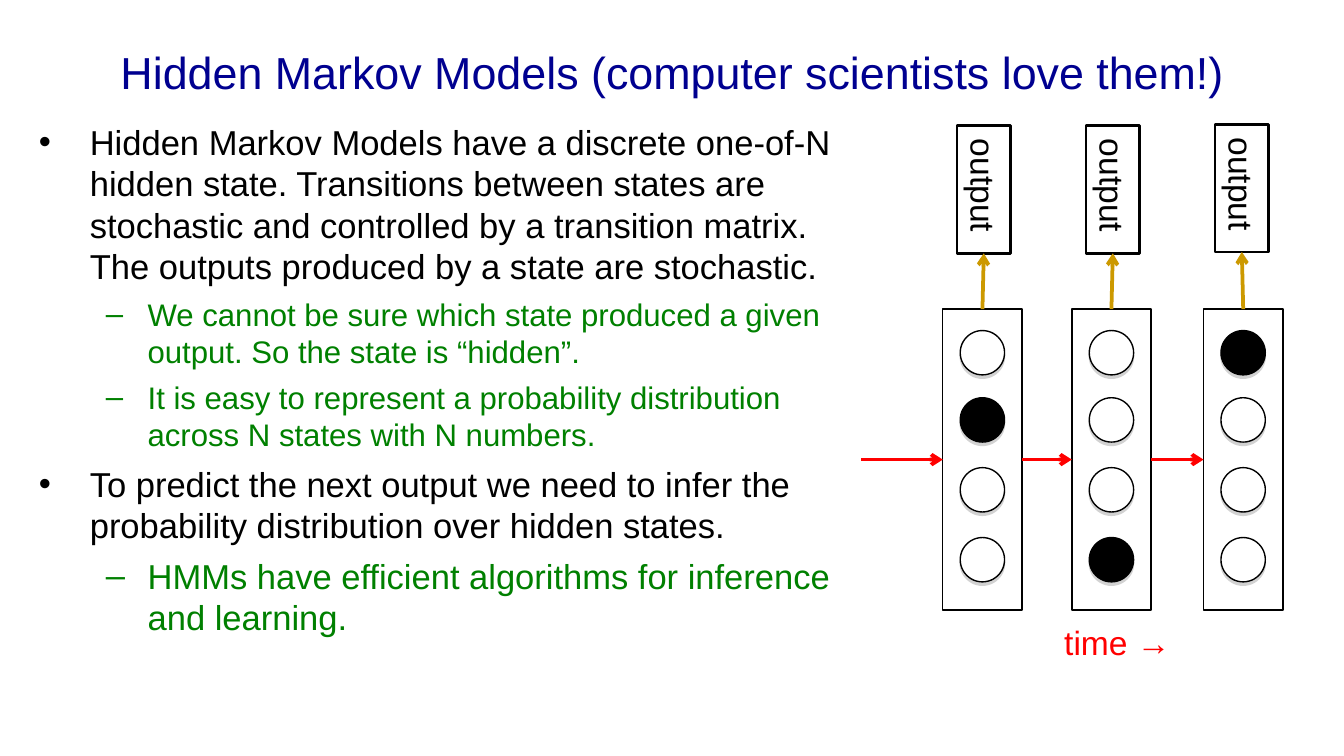
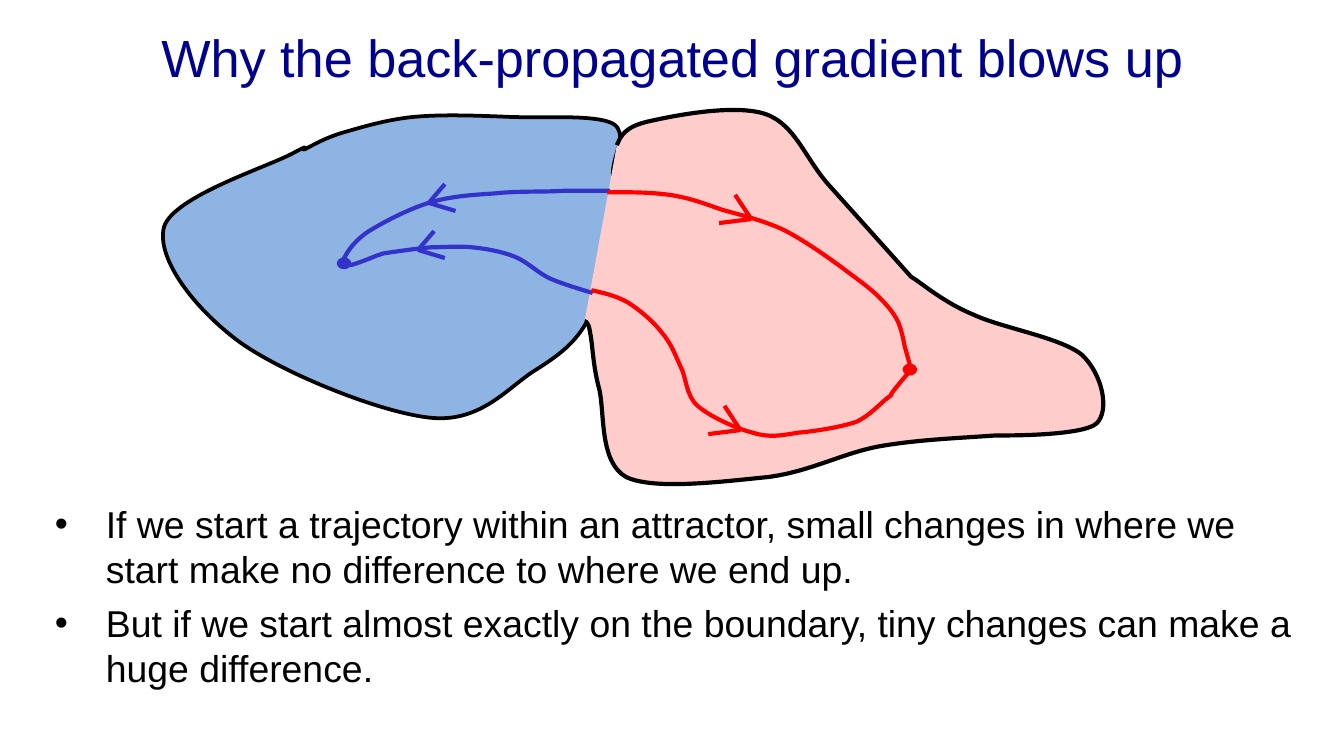
from dataclasses import dataclass

from lxml import etree
from pptx import Presentation
from pptx.dml.color import RGBColor
from pptx.enum.shapes import MSO_CONNECTOR, MSO_SHAPE
from pptx.enum.text import MSO_ANCHOR, PP_ALIGN
from pptx.oxml.ns import qn
from pptx.util import Inches, Pt

RECT, OVAL = MSO_SHAPE.RECTANGLE, MSO_SHAPE.OVAL
STRAIGHT = MSO_CONNECTOR.STRAIGHT
TOP, MIDDLE = MSO_ANCHOR.TOP, MSO_ANCHOR.MIDDLE
LEFT, CENTER = PP_ALIGN.LEFT, PP_ALIGN.CENTER
SITE_TOP, SITE_LEFT, SITE_RIGHT = 0, 1, 3


@dataclass(frozen=True)
class Theme:
    font: str = "Arial"
    title: str = "000090"
    ink: str = "000000"
    paper: str = "FFFFFF"
    detail: str = "008000"
    red: str = "FF0000"
    gold: str = "CC9900"
    blue: str = "3333CC"
    blue_basin: str = "8EB4E3"
    pink_basin: str = "FFCCCC"
    shadow: str = "808080"
    title_small: float = 24
    title_large: float = 28
    body: float = 20
    body_tight: float = 18.5
    detail_size: float = 16.7
    label: float = 18


THEME = Theme()

# Bullet level: mark, colour, left margin, hanging indent
LEVELS = [("•", THEME.ink, 0.38, 0.38), ("–", THEME.detail, 0.81, 0.31)]

HMM_POINTS = [
    (0, THEME.body_tight, 5, "Hidden Markov Models have a discrete one-of-N hidden state. "
     "Transitions between states are stochastic and controlled by a transition matrix. "
     "The outputs produced by a state are stochastic."),
    (1, THEME.detail_size, 4.5, "We cannot be sure which state produced a given output. "
     "So the state is “hidden”."),
    (1, THEME.detail_size, 4.5, "It is easy to represent a probability distribution "
     "across N states with N numbers."),
    (0, THEME.body_tight, 5, "To predict the next output we need to infer the probability "
     "distribution over hidden states."),
    (1, THEME.body_tight, 5, "HMMs have efficient algorithms for inference and learning."),
]
GRADIENT_POINTS = [
    (0, THEME.body, 5, "If we start a trajectory within an attractor, small changes in "
     "where we start make no difference to where we end up."),
    (0, THEME.body, 5, "But if we start almost exactly on the boundary, tiny changes can "
     "make a huge difference."),
]

# Time steps: centre of the state, centre of its output, index of the active unit
TIME_STEPS = [(7.31, 7.32, 1.41, 1), (8.27, 8.28, 1.41, 3), (9.25, 9.24, 1.4, 0)]
UNIT_TOPS = [2.46, 2.96, 3.48, 4]
UNIT_SIZE = 0.33
STATE_TOP, STATE_WIDTH, STATE_HEIGHT = 2.3, 0.59, 2.24
OUTPUT_LENGTH, OUTPUT_DEPTH = 0.95, 0.4

# Each curve is a start point, then rows of two control points and an end point
BLUE_BASIN = [
    (2.27, 1.11),
    (2.21, 1.13), (2.35, 1.05), (2.18, 1.14),
    (2, 1.24), (1.29, 1.46), (1.22, 1.69),
    (1.16, 1.93), (1.46, 2.31), (1.79, 2.55),
    (2.13, 2.79), (2.86, 3.08), (3.22, 3.11),
    (3.59, 3.14), (3.79, 2.87), (3.99, 2.75),
    (4.18, 2.63), (4.29, 2.54), (4.38, 2.37),
    (4.48, 2.2), (4.53, 1.9), (4.56, 1.72),
    (4.59, 1.54), (4.56, 1.29), (4.56, 1.29),
    (4.56, 1.15), (4.68, 0.99), (4.56, 0.92),
    (4.43, 0.85), (4.04, 0.88), (3.79, 0.87),
    (3.55, 0.86), (3.29, 0.85), (3.08, 0.87),
    (2.87, 0.89), (2.68, 0.95), (2.54, 0.99),
    (2.41, 1.03), (2.33, 1.08), (2.27, 1.11),
]
PINK_BASIN = [
    (4.59, 1.08),
    (4.62, 1.01), (4.65, 0.94), (4.84, 0.9),
    (5.02, 0.86), (5.47, 0.77), (5.7, 0.85),
    (5.92, 0.93), (5.99, 1.18), (6.17, 1.38),
    (6.35, 1.58), (6.78, 2.06), (6.78, 2.06),
    (6.85, 2.1), (7.02, 2.25), (7.24, 2.34),
    (7.45, 2.44), (7.89, 2.51), (8.05, 2.64),
    (8.2, 2.78), (8.26, 3.05), (8.16, 3.15),
    (8.05, 3.25), (7.41, 3.24), (7.41, 3.24),
    (7.14, 3.26), (6.84, 3.27), (6.55, 3.32),
    (6.27, 3.37), (6.03, 3.51), (5.71, 3.55),
    (5.4, 3.58), (4.87, 3.65), (4.66, 3.55),
    (4.46, 3.44), (4.5, 3.08), (4.46, 2.9),
    (4.41, 2.72), (4.41, 2.56), (4.39, 2.47),
    (4.38, 2.39), (4.35, 2.39), (4.35, 2.39),
]
BLUE_UPPER = [
    (2.54, 1.96),
    (2.58, 1.88), (2.62, 1.81), (2.73, 1.73),
    (2.84, 1.66), (3.03, 1.56), (3.19, 1.51),
    (3.35, 1.46), (3.52, 1.45), (3.68, 1.44),
    (3.85, 1.42), (4.06, 1.43), (4.19, 1.42),
    (4.32, 1.42), (4.48, 1.42), (4.54, 1.42),
]
BLUE_LOWER = [
    (4.41, 2.18),
    (4.31, 2.15), (4.21, 2.12), (4.11, 2.08),
    (4.01, 2.04), (3.93, 1.95), (3.83, 1.91),
    (3.73, 1.87), (3.61, 1.85), (3.51, 1.84),
    (3.41, 1.83), (3.31, 1.84), (3.21, 1.84),
    (3.1, 1.85), (2.96, 1.87), (2.89, 1.88),
    (2.82, 1.89), (2.85, 1.89), (2.81, 1.9),
    (2.76, 1.92), (2.66, 1.96), (2.62, 1.97),
    (2.57, 1.98), (2.56, 1.96), (2.54, 1.95),
]
RED_UPPER = [
    (4.52, 1.43),
    (4.68, 1.43), (4.84, 1.43), (4.98, 1.45),
    (5.12, 1.47), (5.23, 1.51), (5.37, 1.56),
    (5.51, 1.6), (5.68, 1.64), (5.83, 1.71),
    (5.97, 1.78), (6.14, 1.9), (6.25, 1.98),
    (6.37, 2.07), (6.47, 2.14), (6.54, 2.21),
    (6.61, 2.28), (6.65, 2.33), (6.68, 2.39),
    (6.71, 2.45), (6.73, 2.57), (6.73, 2.57),
    (6.73, 2.57), (6.78, 2.75), (6.78, 2.75),
]
RED_LOWER = [
    (4.4, 2.16),
    (4.49, 2.18), (4.58, 2.2), (4.67, 2.25),
    (4.75, 2.3), (4.86, 2.39), (4.92, 2.47),
    (4.99, 2.55), (5.02, 2.63), (5.06, 2.72),
    (5.11, 2.81), (5.1, 2.94), (5.19, 3.02),
    (5.28, 3.1), (5.48, 3.19), (5.6, 3.22),
    (5.73, 3.26), (5.81, 3.24), (5.94, 3.22),
    (6.06, 3.21), (6.25, 3.18), (6.37, 3.14),
    (6.48, 3.09), (6.57, 2.98), (6.62, 2.95),
    (6.66, 2.91), (6.61, 2.96), (6.64, 2.92),
    (6.66, 2.89), (6.72, 2.82), (6.78, 2.75),
]


def inches(*lengths):
    return [Inches(length) for length in lengths]


def add_xml(parent, tag, **attributes):
    child = etree.SubElement(parent, qn(tag))
    for key, value in attributes.items():
        child.set(key, str(value))
    return child


def write(paragraph, text, size, color):
    run = paragraph.add_run()
    run.text = text
    for key, value in {"name": THEME.font, "size": Pt(size)}.items():
        setattr(run.font, key, value)
    run.font.color.rgb = RGBColor.from_string(color)


def set_line(shape, color, width):
    shape.line.color.rgb = RGBColor.from_string(color)
    shape.line.width = Pt(width)


def style_shape(shape, fill, line, width):
    """Give a shape its outline and fill (None for no fill), without shadow."""
    if fill:
        shape.fill.solid()
        shape.fill.fore_color.rgb = RGBColor.from_string(fill)
    else:
        shape.fill.background()
    set_line(shape, line, width)
    shape.shadow.inherit = False
    return shape


def add_preset(slide, kind, box, fill, line, width):
    shape = slide.shapes.add_shape(kind, *inches(*box))
    return style_shape(shape, fill, line, width)


def add_segment(slide, start, end, color, width, arrow=False):
    segment = slide.shapes.add_connector(STRAIGHT, *inches(*start, *end))
    set_line(segment, color, width)
    properties = segment.element.spPr
    if arrow:
        add_xml(properties.find(qn("a:ln")), "a:tailEnd", type="arrow")
    add_xml(properties, "a:effectLst")
    return segment


def add_curve(slide, points, line, width, fill=None, close=False):
    """Draw cubic curves by regrouping each three straight steps into one Bézier step."""
    start, *rest = [inches(*point) for point in points]
    builder = slide.shapes.build_freeform(*start)
    builder.add_line_segments(rest, close=close)
    curve = style_shape(builder.convert_to_shape(), fill, line, width)
    outline = curve.element.spPr.find(".//" + qn("a:path"))
    steps = outline.findall(qn("a:lnTo"))
    for triple in zip(steps[::3], steps[1::3], steps[2::3]):
        bezier = etree.Element(qn("a:cubicBezTo"))
        triple[0].addprevious(bezier)
        for step in triple:
            bezier.append(step[0])
            outline.remove(step)


def add_titled_slide(deck, text, top, size):
    slide = deck.slides.add_slide(deck.slide_layouts[5])
    title = slide.shapes.title
    place = dict(zip(("left", "top", "width", "height"), inches(0.5, top, 9, 0.94)))
    for key, value in place.items():
        setattr(title, key, value)
    title.text_frame.vertical_anchor = MIDDLE
    heading = title.text_frame.paragraphs[0]
    heading.alignment = CENTER
    write(heading, text, size, THEME.title)
    return slide


def add_text_frame(slide, box):
    frame = slide.shapes.add_textbox(*inches(*box)).text_frame
    frame.word_wrap = True
    return frame


def add_bullets(slide, box, points):
    frame = add_text_frame(slide, box)
    for index, (level, size, space, text) in enumerate(points):
        paragraph = frame.add_paragraph() if index else frame.paragraphs[0]
        mark, color, margin, hang = LEVELS[level]
        properties = paragraph._p.get_or_add_pPr()
        properties.set("marL", str(Inches(margin)))
        properties.set("indent", str(-Inches(hang)))
        add_xml(add_xml(properties, "a:buClr"), "a:srgbClr", val=color)
        add_xml(properties, "a:buFont", typeface=THEME.font)
        add_xml(properties, "a:buChar", char=mark)
        paragraph.level = level
        if index:
            paragraph.space_before = Pt(space)
        write(paragraph, text, size, color)


def add_unit(slide, center_x, top, active):
    box = (center_x - UNIT_SIZE / 2, top, UNIT_SIZE, UNIT_SIZE)
    unit = add_preset(slide, OVAL, box, THEME.ink if active else THEME.paper, THEME.ink, 0.75)
    effects = unit.element.spPr.find(qn("a:effectLst"))
    shadow = add_xml(effects, "a:outerShdw", blurRad=0, dist=Pt(1.8), dir=5400000, rotWithShape=0)
    add_xml(add_xml(shadow, "a:srgbClr", val=THEME.shadow), "a:alpha", val=35000)


def add_output(slide, center_x, center_y):
    box = (center_x - OUTPUT_LENGTH / 2, center_y - OUTPUT_DEPTH / 2, OUTPUT_LENGTH, OUTPUT_DEPTH)
    output = add_preset(slide, RECT, box, None, THEME.ink, 1.5)
    output.rotation = 90
    output.text_frame.vertical_anchor = TOP
    paragraph = output.text_frame.paragraphs[0]
    paragraph.alignment = LEFT
    write(paragraph, "output", THEME.label, THEME.ink)
    return output


def add_time_step(slide, state_x, output_x, output_y, active):
    """Draw one state with its units and its output; return the state."""
    output = add_output(slide, output_x, output_y)
    box = (state_x - STATE_WIDTH / 2, STATE_TOP, STATE_WIDTH, STATE_HEIGHT)
    state = add_preset(slide, RECT, box, None, THEME.ink, 0.75)
    for index, top in enumerate(UNIT_TOPS):
        add_unit(slide, state_x, top, index == active)
    tip = (output_x, output_y + OUTPUT_LENGTH / 2)
    emission = add_segment(slide, (state_x, STATE_TOP), tip, THEME.gold, 2, arrow=True)
    emission.begin_connect(state, SITE_TOP)
    emission.end_connect(output, SITE_RIGHT)
    # The output is turned, so its right side faces down
    emission.end_x, emission.end_y = inches(*tip)
    return state


def add_markov_slide(deck):
    slide = add_titled_slide(deck, "Hidden Markov Models (computer scientists love them!)",
                             0.06, THEME.title_small)
    add_bullets(slide, (0.19, 0.85, 6.22, 4.45), HMM_POINTS)
    previous = None
    entry = (6.41, STATE_TOP + STATE_HEIGHT / 2)
    for step in TIME_STEPS:
        state = add_time_step(slide, *step)
        transition = add_segment(slide, entry, entry, THEME.red, 2, arrow=True)
        if previous:
            transition.begin_connect(previous, SITE_RIGHT)
        transition.end_connect(state, SITE_LEFT)
        previous = state
    time_label = add_text_frame(slide, (7.82, 4.58, 1.57, 0.4))
    write(time_label.paragraphs[0], "time →", THEME.label, THEME.red)


def add_trajectories(slide, color, curves, tips, barbs, attractor):
    """Draw curves that run to one attractor, with an open arrowhead at each tip."""
    for curve in curves:
        add_curve(slide, curve, color, 2.25)
    for x, y in tips:
        for dx, dy in barbs:
            add_segment(slide, (x, y), (x + dx, y + dy), color, 2.25)
    add_preset(slide, OVAL, (*attractor, 0.08, 0.06), color, color, 2)


def add_gradient_slide(deck):
    slide = add_titled_slide(deck, "Why the back-propagated gradient blows up",
                             -0.05, THEME.title_large)
    add_bullets(slide, (0.31, 3.68, 9.5, 1.51), GRADIENT_POINTS)
    add_curve(slide, BLUE_BASIN, THEME.ink, 2, THEME.blue_basin, close=True)
    add_curve(slide, PINK_BASIN, THEME.ink, 2.25, THEME.pink_basin)
    add_trajectories(slide, THEME.blue, [BLUE_UPPER, BLUE_LOWER], [(3.19, 1.51), (3.11, 1.86)],
                     [(0.12, -0.14), (0.2, 0.06)], (2.52, 1.93))
    add_trajectories(slide, THEME.red, [RED_UPPER, RED_LOWER], [(5.59, 1.63), (5.51, 3.2)],
                     [(-0.12, -0.18), (-0.24, 0.03)], (6.73, 2.72))


def main():
    deck = Presentation()
    deck.slide_width = Inches(10)
    deck.slide_height = Inches(10 * 9 / 16)
    add_markov_slide(deck)
    add_gradient_slide(deck)
    deck.save("out.pptx")


if __name__ == "__main__":
    main()
